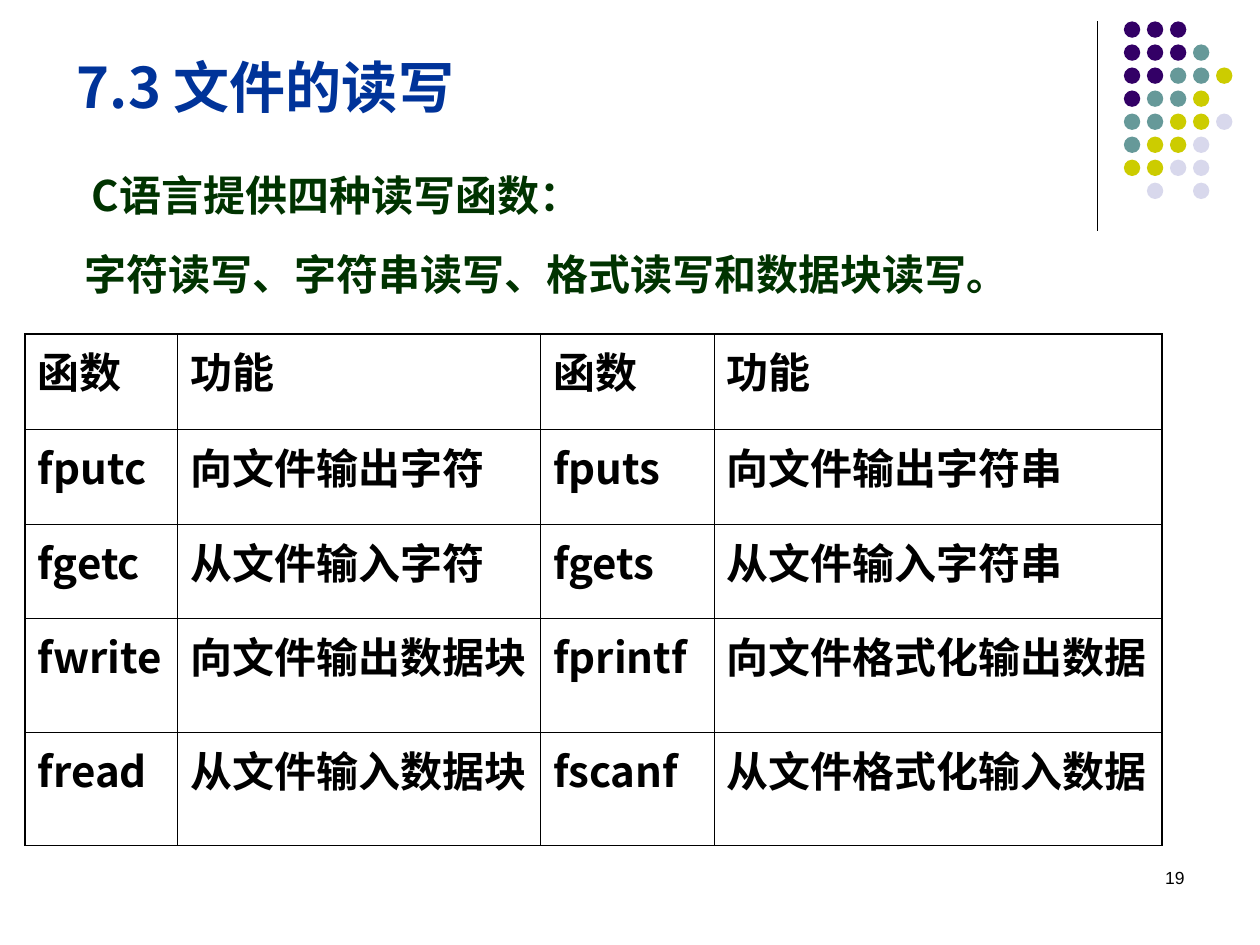
from dataclasses import dataclass

from lxml import etree
from pptx import Presentation
from pptx import util as u
from pptx.dml.color import RGBColor
from pptx.enum import shapes, text
from pptx.oxml.ns import qn


@dataclass(frozen=True)
class Theme:
    font: str = "Noto Sans CJK SC"
    number_font: str = "Arial"
    ink: str = "000000"
    title: str = "003399"
    body: str = "003300"
    purple: str = "330066"
    teal: str = "669999"
    lime: str = "CCCC00"
    lilac: str = "D8D8EC"
    title_size: int = 32
    text_size: int = 24
    number_size: int = 10
    outer_border: float = 1.08
    inner_border: float = 0.45


@dataclass(frozen=True)
class Area:
    left: float
    top: float
    width: float
    height: float

    def lengths(self) -> tuple:
        return tuple(u.Inches(n) for n in (self.left, self.top, self.width, self.height))


@dataclass(frozen=True)
class BodyLine:
    wording: str
    indent: float


THEME = Theme()

# Dot ornament: one letter per dot, "." for a gap
DOT_ROWS = ("PPP", "PPPT", "PPTTL", "PTTL", "TTLLW", "TLLW", "LLWW", ".W.W")
DOT_COLOURS = {"P": THEME.purple, "T": THEME.teal, "L": THEME.lime, "W": THEME.lilac}
DOT_SIZE = 0.13
DOT_PITCH = 1.28 / 7

BODY_LINES = (
    BodyLine("C语言提供四种读写函数：", 0.28),
    BodyLine("字符读写、字符串读写、格式读写和数据块读写。", 0.22),
)

FUNCTION_ROWS = (
    ("函数", "功能", "函数", "功能"),
    ("fputc", "向文件输出字符", "fputs", "向文件输出字符串"),
    ("fgetc", "从文件输入字符", "fgets", "从文件输入字符串"),
    ("fwrite", "向文件输出数据块", "fprintf", "向文件格式化输出数据"),
    ("fread", "从文件输入数据块", "fscanf", "从文件格式化输入数据"),
)
COLUMN_WIDTHS = (1.21, 2.88, 1.38, 3.55)
ROW_HEIGHTS = (0.76, 0.75, 0.75, 0.9, 0.9)


def write(para, wording: str, *, size: float = THEME.text_size, colour: str = THEME.ink,
          font: str = THEME.font, bold: bool = True,
          align=text.PP_ALIGN.LEFT, before: float = 0) -> None:
    """Add one formatted span to a paragraph."""
    para.alignment = align
    para.space_before = u.Pt(before)
    span = para.add_run()
    span.text = wording
    span.font.size = u.Pt(size)
    span.font.bold = bold
    span.font.name = font
    span.font.color.rgb = RGBColor.from_string(colour)
    east_asian = etree.SubElement(span.font._element, qn("a:ea"))
    east_asian.set("typeface", font)


def add_box(page, area: Area):
    box = page.shapes.add_textbox(*area.lengths())
    box.text_frame.word_wrap = True
    return box.text_frame


def draw_ornament(page) -> None:
    x = u.Inches(8.71)
    rule = page.shapes.add_connector(shapes.MSO_CONNECTOR.STRAIGHT,
                                     x, u.Inches(0.17), x, u.Inches(1.83))
    rule.line.color.rgb = RGBColor.from_string(THEME.ink)
    rule.line.width = u.Pt(0.75)
    etree.SubElement(rule._element.spPr, qn("a:effectLst"))
    for row, letters in enumerate(DOT_ROWS):
        for column, letter in enumerate(letters):
            if letter == ".":
                continue
            area = Area(8.92 + column * DOT_PITCH, 0.17 + row * DOT_PITCH, DOT_SIZE, DOT_SIZE)
            dot = page.shapes.add_shape(shapes.MSO_SHAPE.OVAL, *area.lengths())
            dot.shadow.inherit = False
            dot.fill.solid()
            dot.fill.fore_color.rgb = RGBColor.from_string(DOT_COLOURS[letter])
            dot.line.fill.background()


def draw_title(page, wording: str, area: Area) -> None:
    title = page.shapes.title
    title.left, title.top, title.width, title.height = area.lengths()
    frame = title.text_frame
    frame.auto_size = text.MSO_AUTO_SIZE.NONE
    frame.vertical_anchor = text.MSO_ANCHOR.BOTTOM
    write(frame.paragraphs[0], wording, size=THEME.title_size, colour=THEME.title)


def draw_body(page, lines: tuple[BodyLine, ...], area: Area) -> None:
    frame = add_box(page, area)
    for index, line in enumerate(lines):
        para = frame.add_paragraph() if index else frame.paragraphs[0]
        write(para, line.wording, colour=THEME.body)
        para.line_spacing = u.Pt(45)
        para._p.get_or_add_pPr().set("marL", str(u.Inches(line.indent)))


def set_borders(cell, widths: dict[str, float]) -> None:
    """Put left, right, top and bottom lines ahead of the cell's fill."""
    properties = cell._tc.get_or_add_tcPr()
    for position, (side, width) in enumerate(widths.items()):
        line = etree.Element(qn(f"a:ln{side}"), w=str(u.Pt(width)))
        fill = etree.SubElement(line, qn("a:solidFill"))
        etree.SubElement(fill, qn("a:srgbClr"), val=THEME.ink)
        properties.insert(position, line)


def draw_table(page, rows: tuple, area: Area) -> None:
    last_row, last_column = len(rows) - 1, len(rows[0]) - 1
    table = page.shapes.add_table(len(rows), len(rows[0]), *area.lengths()).table
    table.first_row = table.horz_banding = False
    for column, width in zip(table.columns, COLUMN_WIDTHS):
        column.width = u.Inches(width)
    for row, height in zip(table.rows, ROW_HEIGHTS):
        row.height = u.Inches(height)
    for r, wordings in enumerate(rows):
        for c, wording in enumerate(wordings):
            cell = table.cell(r, c)
            cell.fill.background()
            write(cell.text_frame.paragraphs[0], wording, before=6)
            on_edge = {"L": c == 0, "R": c == last_column, "T": r == 0, "B": r == last_row}
            set_borders(cell, {side: THEME.outer_border if outer else THEME.inner_border
                               for side, outer in on_edge.items()})


def main() -> None:
    deck = Presentation()
    deck.slide_width, deck.slide_height = u.Inches(10), u.Inches(7.5)
    page = deck.slides.add_slide(deck.slide_layouts[5])

    draw_ornament(page)
    # Slide number
    write(add_box(page, Area(7.17, 6.83, 2.33, 0.5)).paragraphs[0], "19",
          size=THEME.number_size, font=THEME.number_font, bold=False,
          align=text.PP_ALIGN.RIGHT)
    # Heading, introduction and function table
    draw_title(page, "7.3 文件的读写", Area(0.51, -0.42, 8.25, 1.42))
    draw_body(page, BODY_LINES, Area(0.35, 1.07, 10, 1.91))
    draw_table(page, FUNCTION_ROWS, Area(0.2, 2.65, 9.03, 4.06))

    deck.save("out.pptx")


if __name__ == "__main__":
    main()
